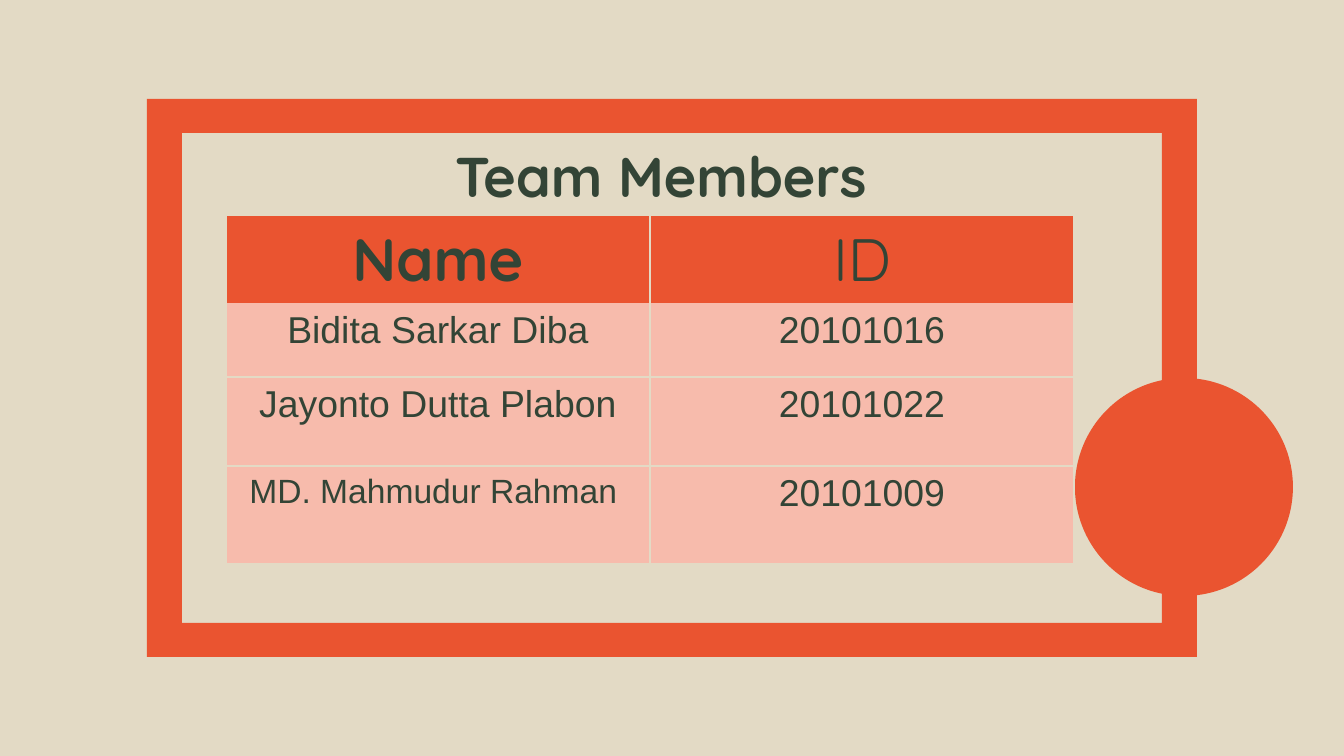
from lxml.etree import SubElement
from pptx import Presentation
from pptx.dml.color import RGBColor
from pptx.enum.shapes import MSO_SHAPE as Shape
from pptx.enum.text import MSO_ANCHOR as Anchor, MSO_AUTO_SIZE as AutoSize, PP_ALIGN as Align
from pptx.oxml.ns import qn
from pptx.util import Pt

TITLE = "Team Members"
HEADER = ("Name", "ID")
MEMBERS = [
    ("Bidita Sarkar Diba", "20101016"),
    ("Jayonto Dutta Plabon", "20101022"),
    ("MD. Mahmudur Rahman ", "20101009"),
]
LONG_NAME = MEMBERS[-1][0]

SAND, ORANGE, PINK, GREEN = "E3DAC5", "EA5430", "F7BBAC", "334436"
DISPLAY_FONT, BODY_FONT = "Quicksand", "Arial"
SCALE = 914400 / 134.4

FRAME_OUTER = (147, 99, 1197, 657)
FRAME_INNER = (182, 133, 1162, 623)
CIRCLE = (1075, 378, 218, 218)
TITLE_BOX = (218, 151, 886, 48)
TABLE_LEFT, TABLE_TOP = 226, 215
COLUMN_WIDTH = 424
ROW_HEIGHTS = (81, 74, 89, 98)


def px(value):
    return round(value * SCALE)


def color(value):
    return RGBColor.from_string(value)


def paint(shape):
    shape.shadow.inherit = False
    shape.fill.solid()
    shape.fill.fore_color.rgb = color(ORANGE)
    shape.line.fill.background()


def write(paragraph, text, size, font_name, bold=False):
    paragraph.alignment = Align.CENTER
    run = paragraph.add_run()
    run.text = text
    run.font.size = Pt(size)
    run.font.name = font_name
    run.font.bold = bold
    run.font.color.rgb = color(GREEN)


def add_border(cell, tag, visible):
    line = SubElement(cell._tc.get_or_add_tcPr(), qn(f"a:{tag}"), w=str(Pt(1)))
    if visible:
        fill = SubElement(line, qn("a:solidFill"))
        SubElement(fill, qn("a:srgbClr"), val=SAND)
    else:
        SubElement(line, qn("a:noFill"))


def add_frame(slide):
    left, top, right, bottom = FRAME_OUTER
    builder = slide.shapes.build_freeform(left, top, scale=SCALE)
    builder.add_line_segments([(right, top), (right, bottom), (left, bottom)])
    left, top, right, bottom = FRAME_INNER
    builder.move_to(left, top)
    builder.add_line_segments([(left, bottom), (right, bottom), (right, top)])
    paint(builder.convert_to_shape())


def add_title(slide):
    title = slide.shapes.title
    title.left, title.top, title.width, title.height = map(px, TITLE_BOX)
    text_frame = title.text_frame
    text_frame.auto_size = AutoSize.NONE
    text_frame.word_wrap = True
    text_frame.vertical_anchor = Anchor.MIDDLE
    text_frame.margin_left = text_frame.margin_right = px(13)
    text_frame.margin_top = text_frame.margin_bottom = px(13)
    paragraph = text_frame.paragraphs[0]
    paragraph.space_after = Pt(16)
    write(paragraph, TITLE, 30, DISPLAY_FONT, True)


def add_members(slide):
    rows = [HEADER, *MEMBERS]
    table = slide.shapes.add_table(
        len(rows), len(HEADER), px(TABLE_LEFT), px(TABLE_TOP),
        px(COLUMN_WIDTH * len(HEADER)), px(sum(ROW_HEIGHTS))).table
    for column in table.columns:
        column.width = px(COLUMN_WIDTH)
    for row_index, (values, height) in enumerate(zip(rows, ROW_HEIGHTS)):
        table.rows[row_index].height = px(height)
        is_header = row_index == 0
        for column_index, text in enumerate(values):
            cell = table.cell(row_index, column_index)
            add_border(cell, "lnL", True)
            add_border(cell, "lnR", True)
            add_border(cell, "lnT", row_index != 1)
            add_border(cell, "lnB", not is_header)
            cell.fill.solid()
            cell.fill.fore_color.rgb = color(ORANGE if is_header else PINK)
            paragraph = cell.text_frame.paragraphs[0]
            if is_header:
                write(paragraph, text, 32, DISPLAY_FONT, column_index == 0)
            else:
                write(paragraph, text, 18 if text == LONG_NAME else 20, BODY_FONT)


def main():
    presentation = Presentation()
    presentation.slide_width, presentation.slide_height = px(1344), px(756)
    slide = presentation.slides.add_slide(presentation.slide_layouts[5])
    slide.background.fill.solid()
    slide.background.fill.fore_color.rgb = color(SAND)
    paint(slide.shapes.add_shape(Shape.OVAL, *map(px, CIRCLE)))
    add_frame(slide)
    add_title(slide)
    add_members(slide)
    presentation.save("out.pptx")


if __name__ == "__main__":
    main()
